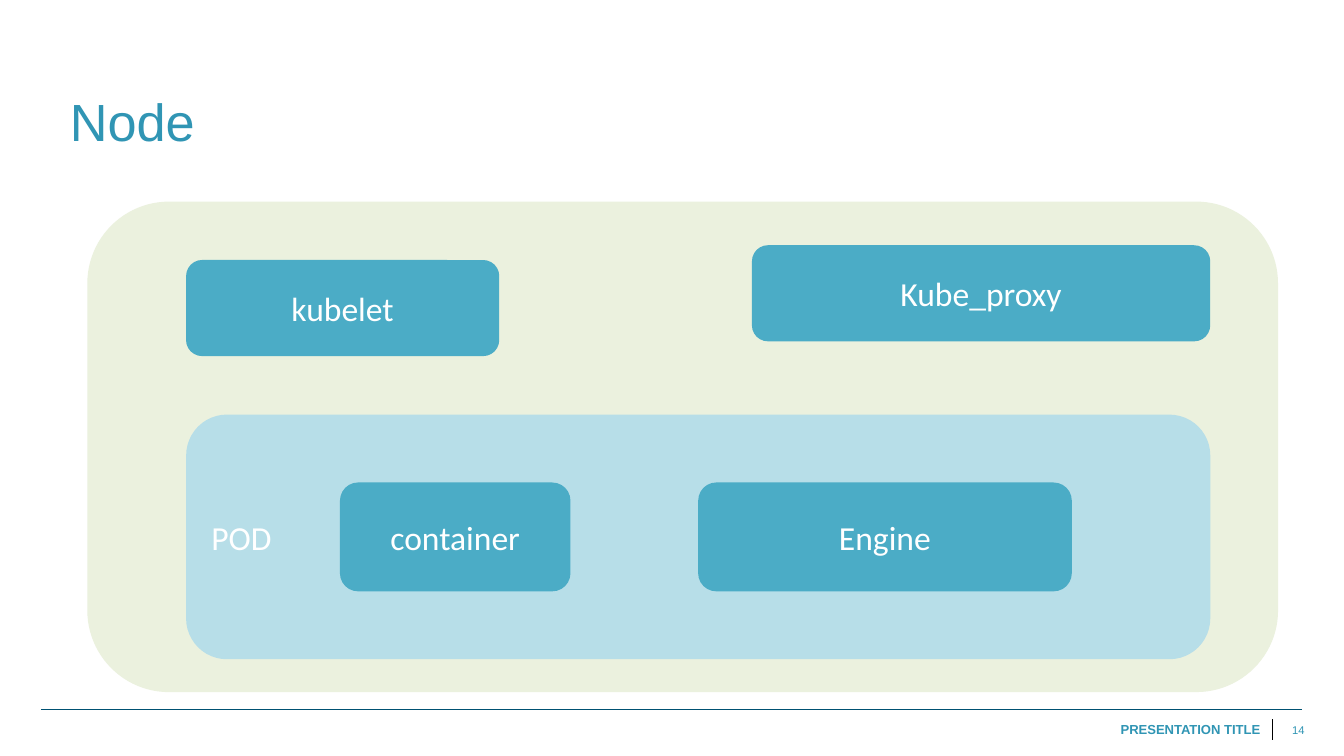
from dataclasses import dataclass

from lxml.etree import SubElement
from pptx import Presentation
from pptx.dml.color import RGBColor
from pptx.enum.shapes import MSO_CONNECTOR as Connector, MSO_SHAPE as Preset
from pptx.enum.text import MSO_ANCHOR as Anchor, PP_ALIGN as Align
from pptx.oxml.ns import qn
from pptx.slide import Slide
from pptx.util import Emu, Pt

PX = 4572

COLORS = {
    "node": "EBF1DE",
    "pod": "B7DEE8",
    "component": "4BACC6",
    "label": "FFFFFF",
    "heading": "3095B4",
    "footer_rule": "005172",
    "divider": "000000",
}


@dataclass(frozen=True)
class Block:
    left: int
    top: int
    width: int
    height: int
    fill: str
    label: str = ""
    align: Align = Align.CENTER


@dataclass(frozen=True)
class Rule:
    x1: int
    y1: int
    x2: int
    y2: int
    color: str


@dataclass(frozen=True)
class FooterText:
    left: int
    top: int
    width: int
    height: int
    text: str
    size: int
    bold: bool
    wrap: bool


BLOCKS = [
    Block(130, 300, 1772, 730, "node"),
    Block(277, 387, 466, 143, "component", "kubelet"),
    Block(1119, 365, 682, 143, "component", "Kube_proxy"),
    Block(277, 617, 1524, 364, "pod", "POD", Align.LEFT),
    Block(506, 718, 343, 162, "component", "container"),
    Block(1039, 718, 556, 162, "component", "Engine"),
]

RULES = [
    Rule(61, 1056, 1938, 1056, "footer_rule"),
    Rule(1894, 1070, 1894, 1102, "divider"),
]

FOOTER_TEXTS = [
    FooterText(1883, 1066, 78, 40, "14", 6, False, True),
    FooterText(1635, 1064, 260, 44, "PRESENTATION TITLE", 7, True, False),
]


def px(*lengths: int) -> list[Emu]:
    return [Emu(length * PX) for length in lengths]


def rgb(name: str) -> RGBColor:
    return RGBColor.from_string(COLORS[name])


def style_paragraph(para, face: str, size: int, color: str, align: Align, bold: bool = False) -> None:
    para.alignment = align
    para.font.name = face
    para.font.size = Pt(size)
    para.font.bold = bold
    para.font.color.rgb = rgb(color)


def draw_title(page: Slide, text: str) -> None:
    title = page.shapes.title
    title.left, title.top, title.width, title.height = px(84, 20, 1802, 216)
    title.text_frame.text = text
    title.text_frame.vertical_anchor = Anchor.BOTTOM
    style_paragraph(title.text_frame.paragraphs[0], "Arial", 28, "heading", Align.LEFT)


def draw_rule(page: Slide, rule: Rule) -> None:
    line = page.shapes.add_connector(Connector.STRAIGHT, *px(rule.x1, rule.y1, rule.x2, rule.y2))
    line.line.color.rgb = rgb(rule.color)
    line.line.width = Pt(0.5)
    SubElement(line._element.spPr, qn("a:effectLst"))


def draw_footer_text(page: Slide, item: FooterText) -> None:
    box = page.shapes.add_textbox(*px(item.left, item.top, item.width, item.height))
    box.text_frame.word_wrap = item.wrap
    box.text_frame.text = item.text
    style_paragraph(box.text_frame.paragraphs[0], "Arial", item.size, "heading", Align.RIGHT, item.bold)


def draw_block(page: Slide, block: Block) -> None:
    box = page.shapes.add_shape(
        Preset.ROUNDED_RECTANGLE, *px(block.left, block.top, block.width, block.height)
    )
    box.shadow.inherit = False
    box.fill.solid()
    box.fill.fore_color.rgb = rgb(block.fill)
    box.line.fill.background()
    if block.label:
        box.text_frame.text = block.label
        box.text_frame.vertical_anchor = Anchor.MIDDLE
        style_paragraph(box.text_frame.paragraphs[0], "Calibri", 18, "label", block.align)


def main() -> None:
    deck = Presentation()
    deck.slide_width, deck.slide_height = px(2000, 1125)
    page = deck.slides.add_slide(deck.slide_layouts.get_by_name("Title Only"))
    for rule in RULES:
        draw_rule(page, rule)
    for item in FOOTER_TEXTS:
        draw_footer_text(page, item)
    draw_title(page, "Node")
    for block in BLOCKS:
        draw_block(page, block)
    deck.save("out.pptx")


if __name__ == "__main__":
    main()
